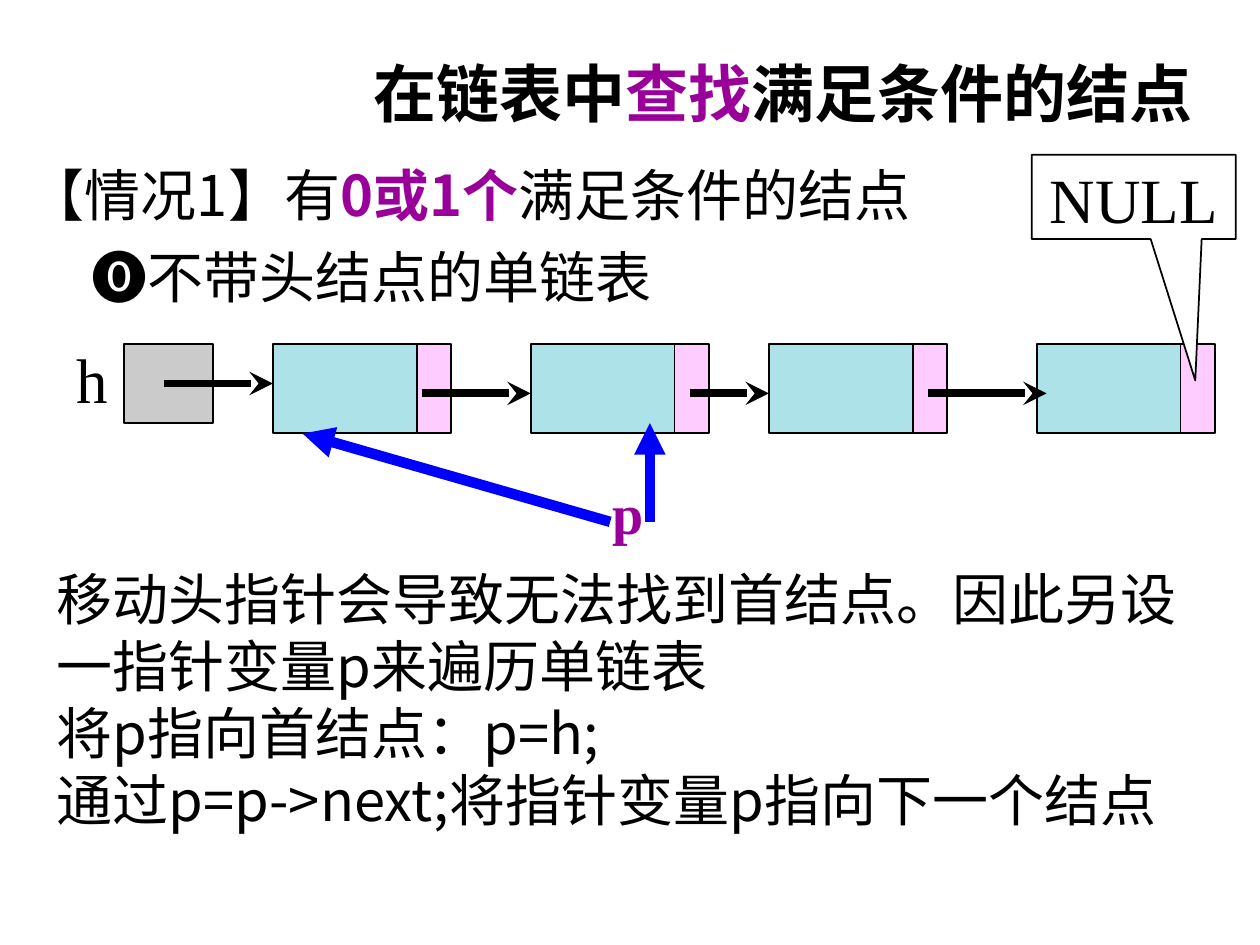
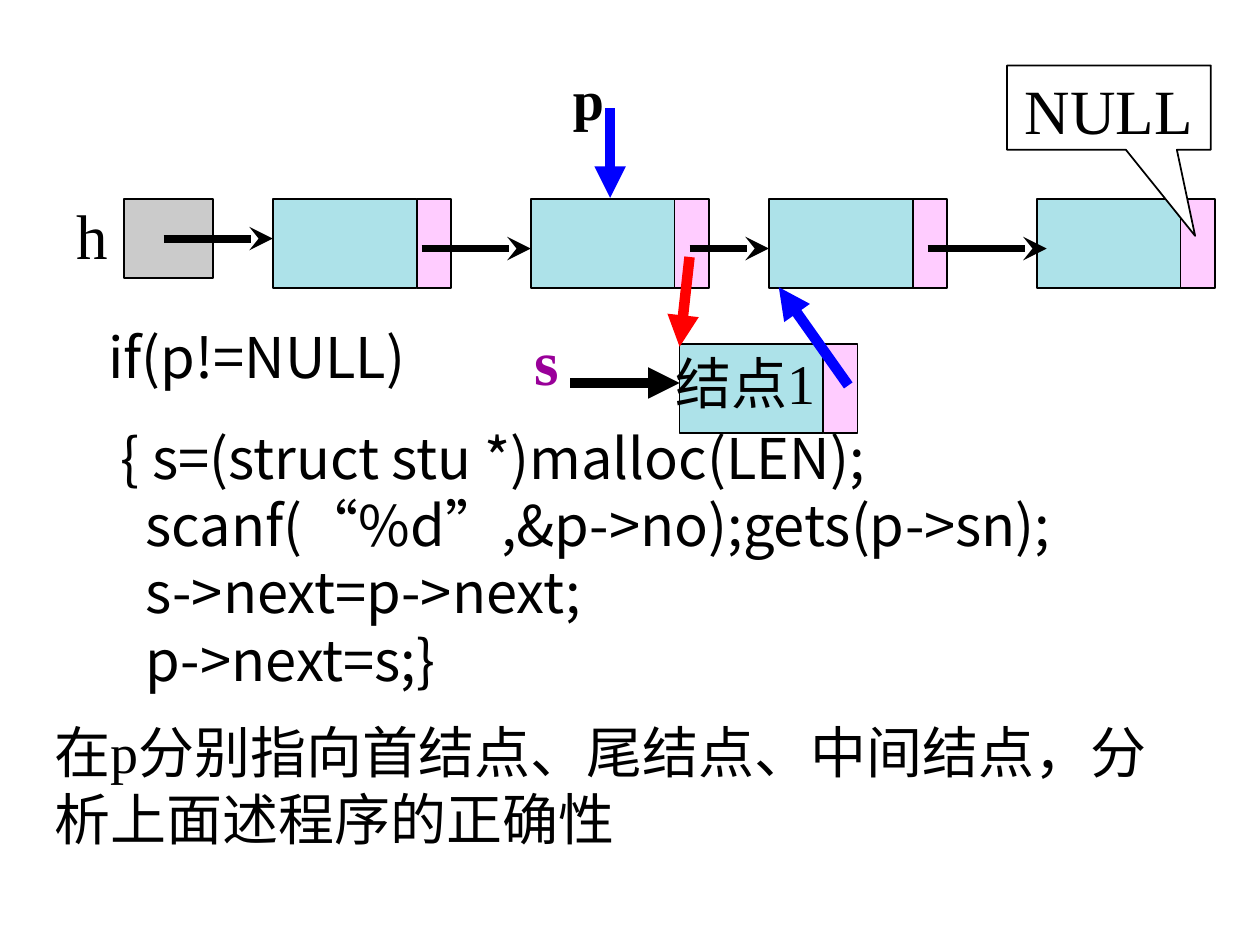
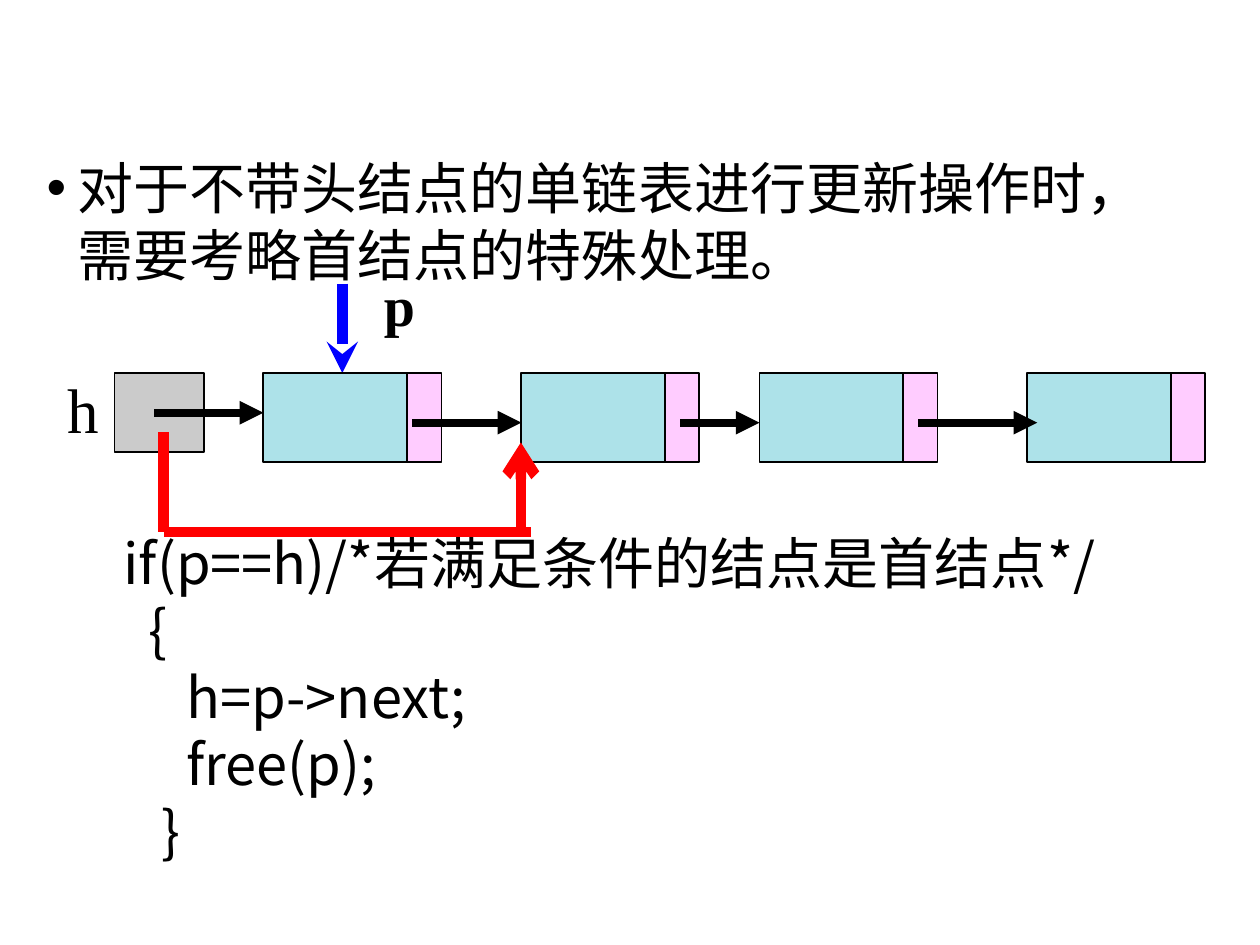
import pptx
import pptx.dml.color
import pptx.enum.lang
import pptx.enum.shapes
import pptx.enum.text
import pptx.oxml.ns
import pptx.util
from lxml import etree

Cm = pptx.util.Cm
Pt = pptx.util.Pt
RGB = pptx.dml.color.RGBColor
SHAPE = pptx.enum.shapes.MSO_SHAPE
ANCHOR = pptx.enum.text.MSO_ANCHOR
ALIGN = pptx.enum.text.PP_ALIGN
CHINESE = pptx.enum.lang.MSO_LANGUAGE_ID.CHINESE_SINGAPORE.SIMPLIFIED_CHINESE
qn = pptx.oxml.ns.qn

BLACK = RGB(0x00, 0x00, 0x00)
WHITE = RGB(0xFF, 0xFF, 0xFF)
PURPLE = RGB(0x99, 0x00, 0x99)
BLUE = RGB(0x00, 0x00, 0xFF)
RED = RGB(0xFF, 0x00, 0x00)
GREY = RGB(0xCB, 0xCB, 0xCB)
TEAL = RGB(0xAD, 0xE2, 0xE9)
PINK = RGB(0xFF, 0xCC, 0xFF)

SANS = "Noto Sans CJK SC"
SERIF = "Times New Roman"
KEY = {"color": PURPLE, "bold": True}

# A paragraph is a string or a list of (text, format) runs.
TITLE = [[("在链表中", {}), ("查找", {"color": PURPLE}), ("满足条件的结点", {})]]
CASE = [
    [("【情况1】有", {}), ("0或1个", KEY), ("满足条件的结点", {})],
    [("⓿", {"font": "Arial"}), ("不带头结点的单链表", {})],
]
TRAVERSAL = [
    "移动头指针会导致无法找到首结点。因此另设一指针变量p来遍历单链表",
    "将p指向首结点：p=h;",
    "通过p=p->next;将指针变量p指向下一个结点",
]
INSERT_CODE = [
    "if(p!=NULL)",
    " { s=(struct stu *)malloc(LEN);",
    "   scanf(“%d”,&p->no);gets(p->sn);",
    "   s->next=p->next;",
    "   p->next=s;}",
]
INSERT_TASK = ["在p分别指向首结点、尾结点、中间结点，分析上面述程序的正确性"]
UPDATE_NOTE = ["对于不带头结点的单链表进行更新操作时，需要考略首结点的特殊处理。"]
DELETE_CODE = [
    "if(p==h)/*若满足条件的结点是首结点*/",
    "  {",
    "     h=p->next;",
    "     free(p);",
    "   }",
]

# Linked list geometry in cm
HEAD_X, HEAD_W, HEAD_H = 2.5, 1.8, 1.6
NODE_X = [5.5, 10.7, 15.5, 20.9]
DATA_W, NEXT_W, NODE_H = 2.9, 0.69, 1.8
NEXT_ARROWS = [(8.5, 10.7), (13.9, 15.5), (18.7, 21.1)]
HEAD_ARROW = (3.3, 5.5)


def fill_text(shape, paras, size=32, font=SANS, color=BLACK, bold=False,
              align=None, anchor=ANCHOR.TOP, before=(), indent=(), bullet=0):
    """before and indent are (paragraph index, length) pairs."""
    tf = shape.text_frame
    tf.word_wrap = True
    tf.vertical_anchor = anchor
    before, indent = dict(before), dict(indent)
    for i, para in enumerate(paras):
        p = tf.paragraphs[0] if i == 0 else tf.add_paragraph()
        p.alignment = align
        p.line_spacing = Pt(size * 1.2)
        if i in before:
            p.space_before = Pt(before[i])
        pPr = p._p.get_or_add_pPr()
        if i in indent:
            pPr.set("marL", str(Cm(indent[i])))
        if bullet:
            pPr.set("marL", str(Cm(bullet)))
            pPr.set("indent", str(-Cm(bullet)))
            etree.SubElement(pPr, qn("a:buFont"), typeface="Arial")
            etree.SubElement(pPr, qn("a:buChar"), char="•")
        for text, fmt in [(para, {})] if isinstance(para, str) else para:
            r = p.add_run()
            r.text = text
            r.font.size = Pt(size)
            r.font.name = fmt.get("font", font)
            r.font.bold = fmt.get("bold", bold)
            r.font.color.rgb = fmt.get("color", color)
            r.font.language_id = CHINESE
            etree.SubElement(r._r.get_or_add_rPr(), qn("a:ea"), typeface=SANS)


def add_text(s, x, y, w, h, paras, **fmt):
    box = s.shapes.add_textbox(Cm(x), Cm(y), Cm(w), Cm(h))
    fill_text(box, paras, **fmt)


def add_label(s, x, y, text, width=1.4, size=32, **fmt):
    add_text(s, x, y, width, 1.7, [text], size=size, font=SERIF, **fmt)


def add_box(s, x, y, w, h, fill, kind=SHAPE.RECTANGLE):
    sp = s.shapes.add_shape(kind, Cm(x), Cm(y), Cm(w), Cm(h))
    sp.shadow.inherit = False
    sp.fill.solid()
    sp.fill.fore_color.rgb = fill
    sp.line.color.rgb = BLACK
    sp.line.width = Pt(1)
    return sp


def add_line(s, x1, y1, x2, y2, color=BLACK, width=6, head="triangle"):
    line = s.shapes.add_connector(pptx.enum.shapes.MSO_CONNECTOR.STRAIGHT,
                                  Cm(x1), Cm(y1), Cm(x2), Cm(y2))
    line.line.color.rgb = color
    line.line.width = Pt(width)
    if head:
        etree.SubElement(line.line._get_or_add_ln(), qn("a:tailEnd"), type=head)
    etree.SubElement(line._element.spPr, qn("a:effectLst"))


def add_node(s, x, y):
    add_box(s, x, y, DATA_W, NODE_H, TEAL)
    add_box(s, x + DATA_W, y, NEXT_W, NODE_H, PINK)


def add_null(s, x, y, adjustments):
    sp = add_box(s, x, y, 4.11, 1.7, WHITE, SHAPE.RECTANGULAR_CALLOUT)
    for i, value in enumerate(adjustments):
        sp.adjustments[i] = value
    fill_text(sp, ["NULL"], size=36, font=SERIF, align=ALIGN.CENTER)


def add_linked_list(s, y, dx=0, head="stealth", null=None):
    add_box(s, HEAD_X + dx, y, HEAD_W, HEAD_H, GREY)
    add_label(s, 1.3 + dx, y - 0.18, "h", size=36)
    for x in NODE_X:
        add_node(s, x + dx, y)
    if null:
        add_null(s, *null)
    arrows = [(HEAD_ARROW, y + 0.8)] + [(a, y + 1) for a in NEXT_ARROWS]
    for (x1, x2), arrow_y in arrows:
        add_line(s, x1 + dx, arrow_y, x2 + dx, arrow_y, width=4.5, head=head)


def search_slide(s):
    add_text(s, 7.29, 0.79, 17.91, 2.16, TITLE, size=36, font=SERIF, bold=True,
             anchor=ANCHOR.MIDDLE)
    add_text(s, 0.33, 3.12, 23.77, 3.25, CASE, before=[(1, 8)], indent=[(1, 1.27)])
    add_linked_list(s, 6.93, null=(20.8, 3.12, (0.302, 2.177)))
    add_text(s, 0.89, 11.25, 23.27, 7.04, TRAVERSAL)
    add_label(s, 12.09, 9.53, "p", **KEY)
    add_line(s, 12.3, 10.52, 6.1, 8.74, BLUE)
    add_line(s, 13.1, 10.52, 13.1, 8.53, BLUE)


def insert_slide(s):
    add_linked_list(s, 4.01, null=(20.3, 1.32, (0.423, 1.521)))
    add_label(s, 11.3, 1.17, "p", bold=True)
    add_line(s, 12.3, 2.18, 12.3, 3.99, BLUE)
    add_text(s, 1.93, 6.38, 20.5, 8, INSERT_CODE, before=[(1, 19.2)])
    add_node(s, 13.7, 6.93)
    add_label(s, 13.36, 6.91, "结点1", width=4.2)
    add_label(s, 10.52, 6.38, "s", size=36, **KEY)
    add_line(s, 11.5, 7.72, 13.7, 7.72)
    add_line(s, 17.1, 7.77, 15.7, 5.79, BLUE)
    add_line(s, 13.9, 5.18, 13.7, 6.99, RED)
    add_text(s, 0.84, 14.33, 23.65, 2.97, INSERT_TASK, font=SERIF)


def delete_slide(s):
    add_text(s, 0.69, 2.97, 23.22, 2.97, UPDATE_NOTE, bullet=0.63)
    add_line(s, 6.9, 5.72, 6.9, 7.52, BLUE, head="stealth")
    add_linked_list(s, 7.52, dx=-0.19, head="triangle")
    add_label(s, 7.49, 5.33, "p", bold=True)
    add_text(s, 2.24, 10.52, 22, 7.04, DELETE_CODE)
    add_line(s, 3.3, 8.71, 3.3, 10.72, RED, head=None)
    add_line(s, 3.3, 10.72, 10.7, 10.72, RED, head=None)
    add_line(s, 10.5, 10.72, 10.5, 8.92, RED, head="arrow")


def main():
    prs = pptx.Presentation()
    prs.slide_width, prs.slide_height = Cm(25.4), Cm(19.05)
    for build in (search_slide, insert_slide, delete_slide):
        build(prs.slides.add_slide(prs.slide_layouts[6]))
    prs.save("out.pptx")


if __name__ == "__main__":
    main()
